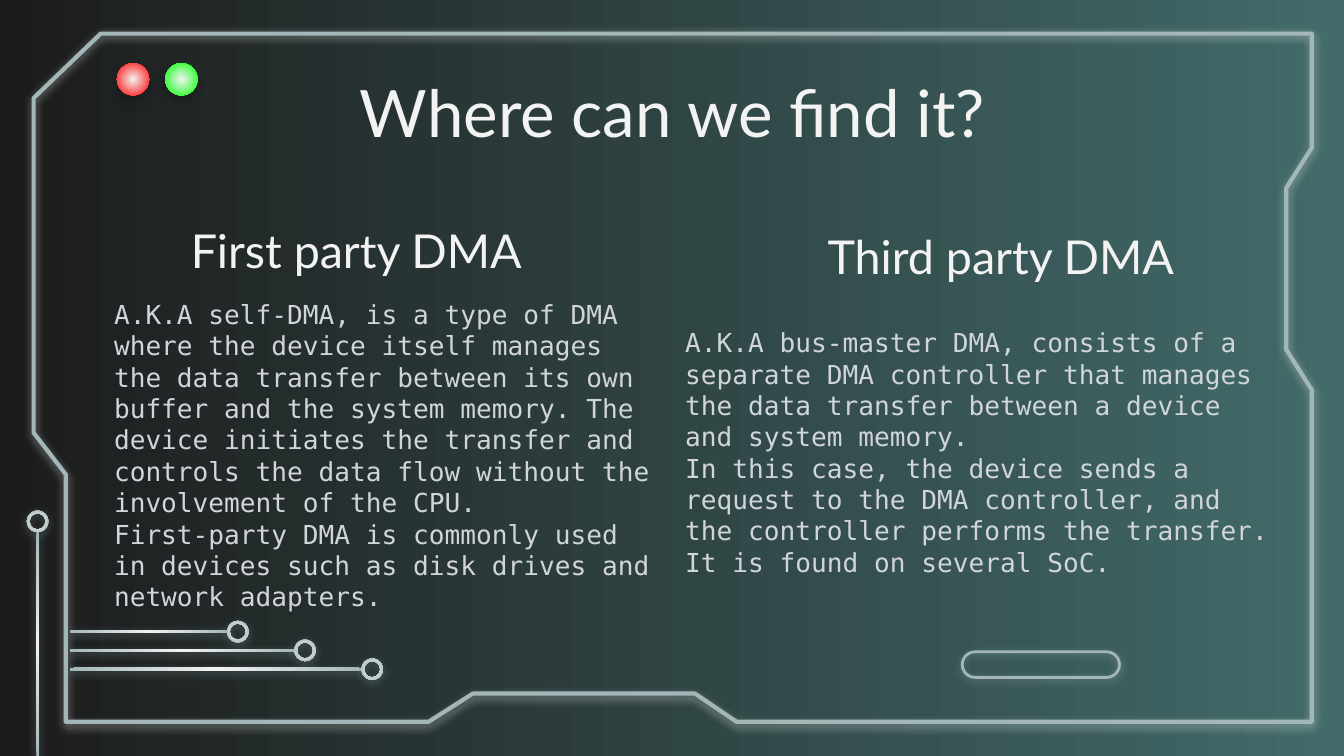
import pptx
import pptx.util
import pptx.dml.color
import pptx.enum.shapes
import pptx.enum.text
import pptx.oxml.ns
from lxml import etree

Inches, Pt = pptx.util.Inches, pptx.util.Pt
RGB = pptx.dml.color.RGBColor.from_string
SHAPE = pptx.enum.shapes.MSO_SHAPE
ANCHOR = pptx.enum.text.MSO_ANCHOR
ALIGN = pptx.enum.text.PP_ALIGN
qn = pptx.oxml.ns.qn

# Content
TITLE = "Where can we find it?"
COLUMNS = [
    {"heading": "First party DMA", "heading_box": (0.99, 1.83, 3.17, 0.34),
     "body_box": (0.75, 2.12, 4.25, 0.87),
     "body": [
         "A.K.A self-DMA, is a type of DMA where the device itself manages the data "
         "transfer between its own buffer and the system memory. The device initiates "
         "the transfer and controls the data flow without the involvement of the CPU.",
         "First-party DMA is commonly used in devices such as disk drives and "
         "network adapters."]},
    {"heading": "Third party DMA", "heading_box": (5.75, 1.87, 3.24, 0.34),
     "body_box": (5, 2.33, 4.56, 0.87),
     "body": [
         "A.K.A bus-master DMA, consists of a separate DMA controller that manages the "
         "data transfer between a device and system memory.",
         "In this case, the device sends a request to the DMA controller, and the "
         "controller performs the transfer.",
         "It is found on several SoC."]},
]

# Style
W = 10
H = W * 9 / 16
COLORS = {"dark": "1C1C1C", "teal": "426B6A", "light": "F3F3F3", "line": "A3B7B9",
          "body": "D1D5DB", "red": "FF0000", "green": "00FF00", "black": "000000"}
SANS, MONO = "Lato", "DejaVu Sans Mono"

# Decoration
FRAME = [(9.76, 5.37), (5.48, 5.37), (5.17, 5.16), (3.52, 5.16), (3.19, 5.37),
         (0.49, 5.37), (0.49, 3.53), (0.25, 3.22), (0.25, 0.73), (0.75, 0.25),
         (9.76, 0.25), (9.76, 1.1), (9.57, 1.4), (9.57, 2.6), (9.76, 2.9)]
UNITS = 100  # frame drawing units per inch
RING, WIRE = 0.16, 0.02
WIRE_LEFT, WIRE_TOP, WIRE_GAP = 0.52, 4.69, 0.14
WIRE_LENGTHS = [1.18, 1.68, 2.18]
UPRIGHT_LEFT, UPRIGHT_TOP = 0.27, 3.95
LIGHTS = ["red", "green"]
LIGHT_LEFT, LIGHT_TOP, LIGHT_SIZE, LIGHT_STEP = 0.87, 0.47, 0.24, 0.36


def set_gradient(fill, first, last, radial=False):
    fill.gradient()
    fill.gradient_angle = 0
    for stop, name in zip(fill.gradient_stops, (first, last)):
        stop.color.rgb = RGB(COLORS[name])
    if radial:
        grad = fill._fill._gradFill
        circle = etree.Element(qn("a:path"), path="circle")
        etree.SubElement(circle, qn("a:fillToRect"), l="50000", t="50000",
                         r="50000", b="50000")
        grad.replace(grad.find(qn("a:lin")), circle)


def add_shadow(sp, color="line", alpha=50, distance=1.5):
    sp.shadow.inherit = False
    effects = sp._element.spPr.find(qn("a:effectLst"))
    shadow = etree.SubElement(effects, qn("a:outerShdw"), blurRad=str(Pt(4.5)),
                              dist=str(Pt(distance)), dir="5400000", algn="bl",
                              rotWithShape="0")
    clr = etree.SubElement(shadow, qn("a:srgbClr"), val=COLORS[color])
    etree.SubElement(clr, qn("a:alpha"), val=str(alpha * 1000))


def set_outline(sp, width):
    sp.fill.background()
    sp.line.color.rgb = RGB(COLORS["line"])
    sp.line.width = Pt(width)


def add_glowing(s, kind, box, color="line", shadow=("line", 50, 1.5)):
    sp = s.shapes.add_shape(kind, *map(Inches, box))
    set_gradient(sp.fill, "light", color, radial=True)
    sp.line.fill.background()
    add_shadow(sp, *shadow)
    return sp


def add_ring(s, cx, cy):
    ring = add_glowing(s, SHAPE.DONUT, (cx - RING / 2, cy - RING / 2, RING, RING))
    ring.adjustments[0] = WIRE / RING


def set_text(sp, lines, font, size, color, align, anchor, left=0.1):
    tf = sp.text_frame
    tf.text = "\n".join(lines)
    tf.word_wrap = True
    tf.auto_size = pptx.enum.text.MSO_AUTO_SIZE.NONE
    tf.vertical_anchor = anchor
    tf.margin_left = Inches(left)
    tf.margin_right = tf.margin_top = tf.margin_bottom = Inches(0.1)
    for p in tf.paragraphs:
        p.alignment = align
        for r in p.runs:
            r.font.name, r.font.size = font, Pt(size)
            r.font.color.rgb = RGB(COLORS[color])


def main():
    prs = pptx.Presentation()
    prs.slide_width, prs.slide_height = Inches(W), Inches(H)
    s = prs.slides.add_slide(prs.slide_layouts[5])
    set_gradient(s.background.fill, "dark", "teal")

    # Frame
    corners = [(round(x * UNITS), round(y * UNITS)) for x, y in FRAME]
    builder = s.shapes.build_freeform(*corners[0], scale=Inches(1) / UNITS)
    builder.add_line_segments(corners[1:], close=True)
    frame = builder.convert_to_shape()
    set_outline(frame, 2.25)
    add_shadow(frame, "light")

    # Upright wire with its ring
    add_glowing(s, SHAPE.RECTANGLE, (UPRIGHT_LEFT, UPRIGHT_TOP, WIRE, H - UPRIGHT_TOP))
    add_ring(s, UPRIGHT_LEFT + WIRE / 2, UPRIGHT_TOP + WIRE / 2 - RING / 2)

    # Title
    title = s.shapes.title
    title.left, title.top, title.width, title.height = map(Inches, (0.79, 0.59, 8.43, 0.47))
    set_text(title, [TITLE], SANS, 35, "light", ALIGN.CENTER, ANCHOR.MIDDLE)

    # Columns
    for col in COLUMNS:
        body = s.shapes.add_textbox(*map(Inches, col["body_box"]))
        set_text(body, col["body"], MONO, 14, "body", ALIGN.LEFT, ANCHOR.TOP)
        heading = s.shapes.add_textbox(*map(Inches, col["heading_box"]))
        set_text(heading, [col["heading"]], SANS, 25, "light", ALIGN.CENTER,
                 ANCHOR.BOTTOM, left=0.25)

    # Level wires with their rings
    for i, length in enumerate(WIRE_LENGTHS):
        top = WIRE_TOP + i * WIRE_GAP
        add_glowing(s, SHAPE.RECTANGLE, (WIRE_LEFT, top, length, WIRE))
        add_ring(s, WIRE_LEFT + length + RING / 2 - WIRE / 2, top + WIRE / 2)

    # Lights
    for i, color in enumerate(LIGHTS):
        box = (LIGHT_LEFT + i * LIGHT_STEP, LIGHT_TOP, LIGHT_SIZE, LIGHT_SIZE)
        add_glowing(s, SHAPE.OVAL, box, color, shadow=("black", 20, 3.8))

    # Pill
    pill = s.shapes.add_shape(SHAPE.ROUNDED_RECTANGLE, *map(Inches, (7.16, 4.85, 1.17, 0.19)))
    pill.adjustments[0] = 0.5
    set_outline(pill, 1.5)
    add_shadow(pill)

    prs.save("out.pptx")


if __name__ == "__main__":
    main()
